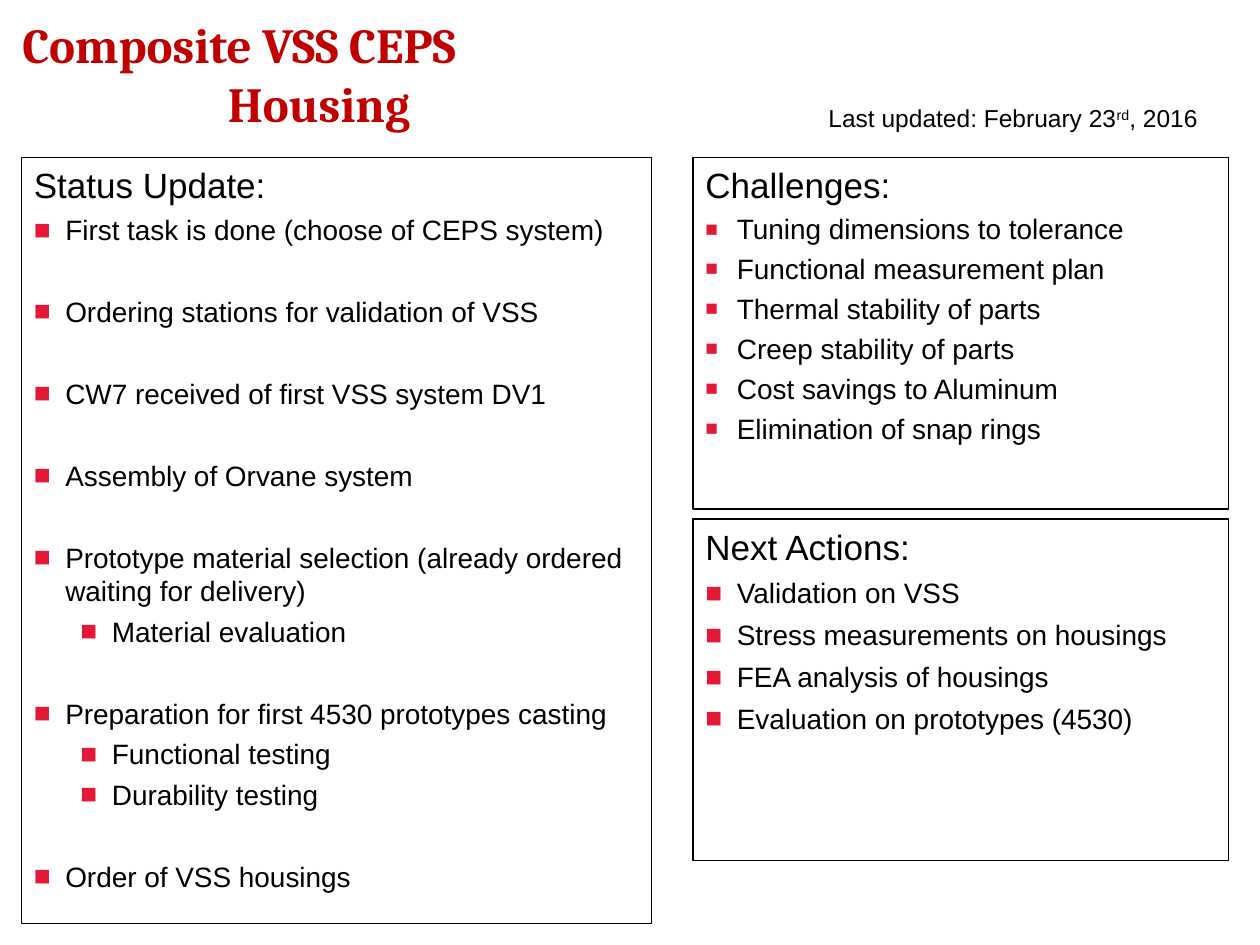
from dataclasses import dataclass

from lxml.etree import SubElement
from pptx import Presentation
from pptx.dml.color import RGBColor
from pptx.enum.text import MSO_ANCHOR as Anchor, PP_ALIGN as Align
from pptx.enum.shapes import MSO_SHAPE as Shape
from pptx.oxml.ns import qn
from pptx.util import Inches, Pt

BLACK, RED, ACCENT = "000000", "C00000", "E31937"
GAP = 27.6  # points above an item that opens a new group


@dataclass
class Item:
    text: str
    space: float
    level: int = 0


@dataclass
class Panel:
    head: str
    box: tuple[float, float, float, float]
    items: list[Item]
    scale: int = 100


def paint(target, color: str) -> None:
    target.rgb = RGBColor.from_string(color)


def add_run(para, text: str, size: float, color: str = BLACK,
            font: str = "Arial", bold: bool = False):
    run = para.add_run()
    run.text = text
    run.font.size, run.font.name, run.font.bold = Pt(size), font, bold
    paint(run.font.color, color)
    return run


def indent(para, left: float, first: float = 0) -> None:
    props = para._p.get_or_add_pPr()
    props.set("marL", str(Inches(left)))
    props.set("indent", str(Inches(first)))


def add_mark(para, level: int, scale: int) -> None:
    """Give the paragraph a hanging red square bullet."""
    indent(para, 0.62 if level else 0.25, -0.25)
    para.level = level
    props = para._p.get_or_add_pPr()
    SubElement(SubElement(props, qn("a:buClr")), qn("a:srgbClr"), val=ACCENT)
    SubElement(props, qn("a:buSzPct"), val=str(scale * 1000))
    SubElement(props, qn("a:buFont"), typeface="Arial")
    SubElement(props, qn("a:buChar"), char="■")


def add_panel(slide, panel: Panel) -> None:
    shape = slide.shapes.add_shape(Shape.RECTANGLE, *map(Inches, panel.box))
    shape.shadow.inherit = False
    shape.fill.background()
    paint(shape.line.color if shape.line.fill.solid() else shape.line.color, BLACK)
    shape.line.width = Pt(0.75)
    frame = shape.text_frame
    frame.word_wrap = True
    frame.vertical_anchor = Anchor.TOP
    head = frame.paragraphs[0]
    head.alignment = Align.LEFT
    add_run(head, panel.head, 20)
    for item in panel.items:
        para = frame.add_paragraph()
        para.alignment = Align.LEFT
        para.line_spacing = Pt(19.2)
        para.space_before = Pt(item.space)
        add_mark(para, item.level, panel.scale)
        add_run(para, item.text, 16)


def add_text(slide, box: tuple[float, float, float, float]):
    frame = slide.shapes.add_textbox(*map(Inches, box)).text_frame
    frame.word_wrap = True
    return frame


def add_title(slide) -> None:
    frame = add_text(slide, (0.08, 0.08, 6.67, 1))
    frame.vertical_anchor = Anchor.MIDDLE
    add_run(frame.paragraphs[0], "Composite VSS CEPS", 28, RED, "Cambria", True)
    para = frame.add_paragraph()
    indent(para, 1.63)
    add_run(para, "Housing", 28, RED, "Cambria", True)


def add_date(slide) -> None:
    para = add_text(slide, (6.33, 0.77, 3.42, 0.4)).paragraphs[0]
    para.alignment = Align.CENTER
    add_run(para, "Last updated: February 23", 14)
    mark = add_run(para, "rd", 14)
    mark.font._element.set("baseline", "30000")
    add_run(para, ", 2016", 14)


PANELS = [
    Panel("Status Update:", (0.17, 1.25, 5, 6.08), [
        Item("First task is done (choose of CEPS system)", 4),
        Item("Ordering stations for validation of VSS", GAP),
        Item("CW7 received of first VSS system DV1", GAP),
        Item("Assembly of Orvane system", GAP),
        Item("Prototype material selection (already ordered waiting for delivery)", GAP),
        Item("Material evaluation", 4, 1),
        Item("Preparation for first 4530 prototypes casting", GAP),
        Item("Functional testing", 4, 1),
        Item("Durability testing", 4, 1),
        Item("Order of VSS housings", GAP),
    ]),
    Panel("Challenges:", (5.5, 1.25, 4.25, 2.79), [
        Item(text, 3.6) for text in (
            "Tuning dimensions to tolerance",
            "Functional measurement plan",
            "Thermal stability of parts",
            "Creep stability of parts",
            "Cost savings to Aluminum",
            "Elimination of snap rings",
        )
    ], scale=75),
    Panel("Next Actions:", (5.5, 4.12, 4.25, 2.71), [
        Item(text, 4.8) for text in (
            "Validation on VSS",
            "Stress measurements on housings",
            "FEA analysis of housings",
            "Evaluation on prototypes (4530)",
        )
    ]),
]


def main() -> None:
    deck = Presentation()
    deck.slide_width, deck.slide_height = Inches(10), Inches(7.5)
    slide = deck.slides.add_slide(deck.slide_layouts[6])
    for panel in PANELS:
        add_panel(slide, panel)
    add_date(slide)
    add_title(slide)
    deck.save("out.pptx")


if __name__ == "__main__":
    main()
